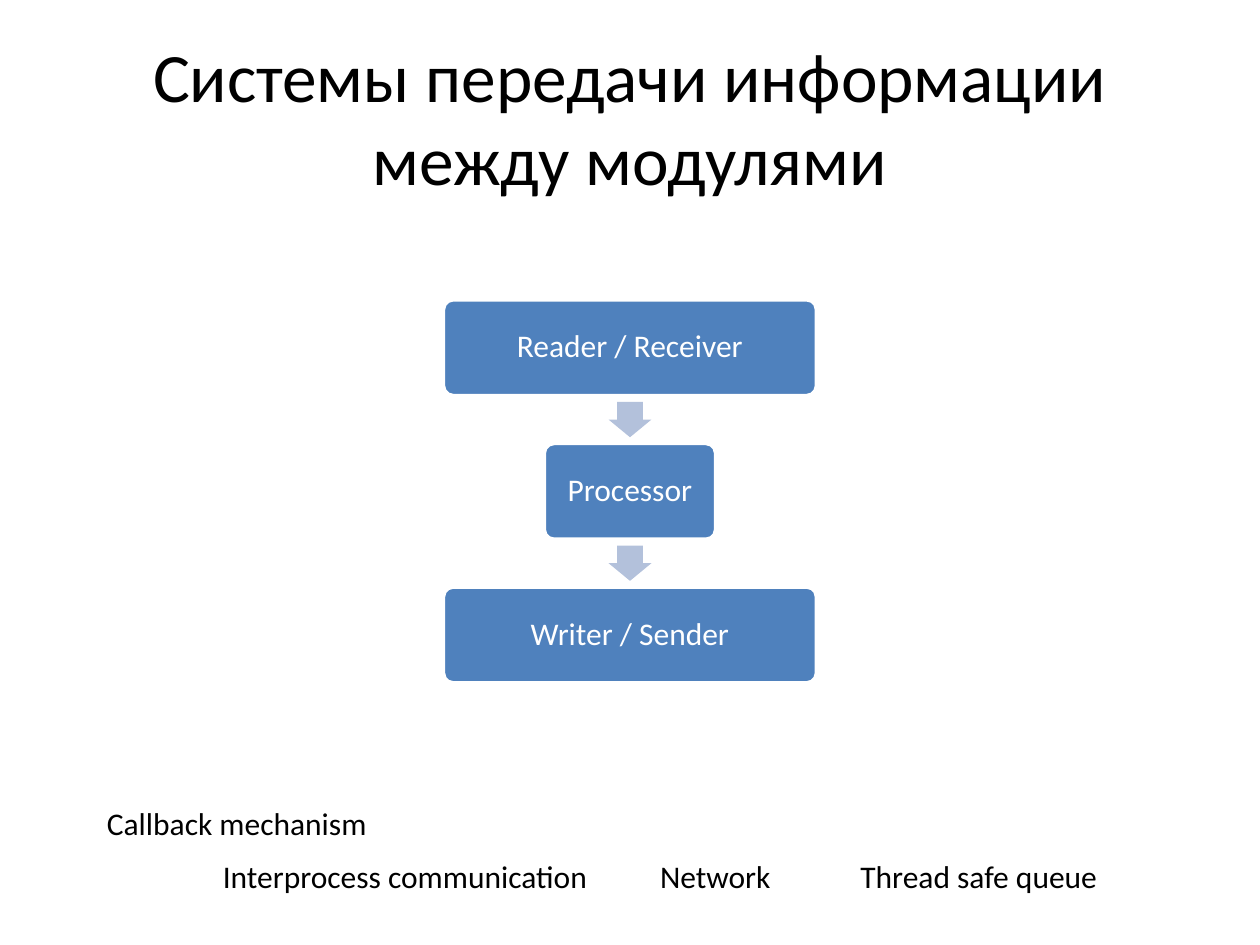
import pptx
import pptx.util
import pptx.dml.color
import pptx.enum.shapes
import pptx.enum.text

Inches, Pt = pptx.util.Inches, pptx.util.Pt
SHAPES = pptx.enum.shapes.MSO_SHAPE
ALIGN = pptx.enum.text.PP_ALIGN
ANCHOR = pptx.enum.text.MSO_ANCHOR

# Content
TITLE = "Системы передачи информации между модулями"
STAGES = [("Reader / Receiver", 2.96), ("Processor", 1.36), ("Writer / Sender", 2.96)]
MECHANISMS = [  # text, left, top, width
    ("Callback mechanism", 0.75, 6.33, 2.29),
    ("Interprocess communication", 1.67, 6.75, 3.13),
    ("Network", 5.14, 6.75, 1.09),
    ("Thread safe queue", 6.73, 6.75, 2.11),
]

# Flow geometry
CENTER, FLOW_TOP, STAGE_HEIGHT, STAGE_STEP = 5, 2.38, 0.76, 1.14
ARROW_WIDTH, ARROW_HEIGHT = 0.28, 0.34


def color(value):
    return pptx.dml.color.RGBColor.from_string(value)


def write(frame, text, size, text_color, align):
    paragraph = frame.paragraphs[0]
    paragraph.alignment = align
    run = paragraph.add_run()
    run.text = text
    run.font.name = "Calibri"
    run.font.size = Pt(size)
    run.font.color.rgb = color(text_color)
    return paragraph


def add_block(kind, left, top, width, height, fill):
    block = slide.shapes.add_shape(
        kind, Inches(left), Inches(top), Inches(width), Inches(height))
    block.shadow.inherit = False
    block.fill.solid()
    block.fill.fore_color.rgb = color(fill)
    return block


def add_label(text, left, top, width, height, size, align, wrap):
    label = slide.shapes.add_textbox(
        Inches(left), Inches(top), Inches(width), Inches(height))
    label.text_frame.word_wrap = wrap
    write(label.text_frame, text, size, "000000", align)
    return label.text_frame


deck = pptx.Presentation()
deck.slide_width, deck.slide_height = Inches(10), Inches(7.5)
slide = deck.slides.add_slide(deck.slide_layouts[6])

# Title
title = add_label(TITLE, 0.5, 0.3, 9, 1.25, 39.6, ALIGN.CENTER, True)
title.vertical_anchor = ANCHOR.MIDDLE

# Stages, with an arrow centred in each gap
for index, (name, width) in enumerate(STAGES):
    top = FLOW_TOP + index * STAGE_STEP
    if index:
        gap_middle = top - (STAGE_STEP - STAGE_HEIGHT) / 2
        arrow = add_block(SHAPES.RIGHT_ARROW, CENTER - ARROW_WIDTH / 2,
                          gap_middle - ARROW_HEIGHT / 2,
                          ARROW_WIDTH, ARROW_HEIGHT, "B3C1DB")
        arrow.rotation = 90
        arrow.adjustments[0], arrow.adjustments[1] = 0.6, 0.5
        arrow.line.fill.background()
    stage = add_block(SHAPES.ROUNDED_RECTANGLE, CENTER - width / 2, top,
                      width, STAGE_HEIGHT, "4F81BD")
    stage.adjustments[0] = 0.1
    stage.line.color.rgb = color("FFFFFF")
    stage.line.width = Pt(2)
    frame = stage.text_frame
    frame.word_wrap = True
    frame.vertical_anchor = ANCHOR.MIDDLE
    frame.margin_left = frame.margin_right = Inches(0.07)
    frame.margin_top = frame.margin_bottom = Inches(0.07)
    write(frame, name, 18, "FFFFFF", ALIGN.CENTER).line_spacing = 0.9

# Transfer mechanisms
for text, left, top, width in MECHANISMS:
    mechanism = add_label(text, left, top, width, 0.4, 18, ALIGN.LEFT, False)
    mechanism.auto_size = pptx.enum.text.MSO_AUTO_SIZE.SHAPE_TO_FIT_TEXT

deck.save("out.pptx")
